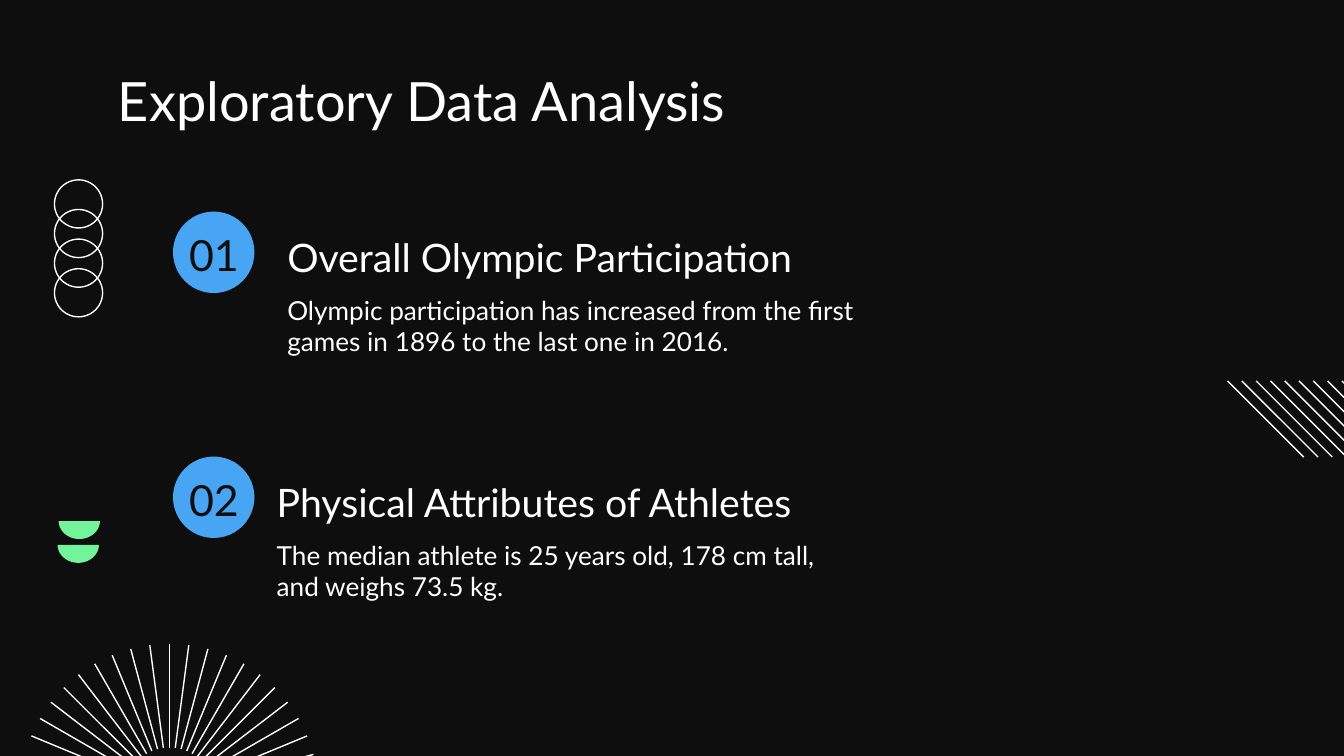
from math import cos, pi, radians, sin

from lxml.etree import SubElement
from pptx import Presentation
from pptx.dml.color import RGBColor
from pptx.enum.shapes import MSO_CONNECTOR as Connector, MSO_SHAPE as Shape
from pptx.enum.text import MSO_ANCHOR as Anchor, PP_ALIGN as Align
from pptx.oxml.ns import qn
from pptx.util import Cm, Pt

BLACK = RGBColor(0x0E, 0x0E, 0x0E)
WHITE = RGBColor(0xFF, 0xFF, 0xFF)
BLUE = RGBColor(0x47, 0xA5, 0xF3)
GREEN = RGBColor(0x72, 0xF4, 0x9A)

LINE_WIDTH = Pt(0.75)
ITEM_PITCH = 4.63
HEADING_SPACING = {"line_spacing": 1.15, "space_after": Pt(12)}

ITEMS = [
    ("01", 5.18, 12.52, "Overall Olympic Participation", 11.38,
     "Olympic participation has increased from the first games in 1896 "
     "to the last one in 2016."),
    ("02", 4.98, 13.18, "Physical Attributes of Athletes", 11.07,
     "The median athlete is 25 years old, 178 cm tall, and weighs 73.5 kg."),
]


def set_all(target, values):
    for name, value in values.items():
        setattr(target, name, value)


def add_text(page, text, area, size, color=WHITE, inset_top=0, **paragraph_format):
    box = page.shapes.add_textbox(*map(Cm, area))
    set_all(box.text_frame, {
        "word_wrap": True,
        "vertical_anchor": Anchor.TOP,
        "margin_left": Cm(0.25),
        "margin_right": Cm(0.25),
        "margin_top": Cm(inset_top),
        "margin_bottom": Cm(0.25),
    })
    para = box.text_frame.paragraphs[0]
    set_all(para, paragraph_format)
    span = para.add_run()
    span.text = text
    set_all(span.font, {"name": "Lato", "size": Pt(size)})
    span.font.color.rgb = color


def add_line(page, start, end):
    line = page.shapes.add_connector(Connector.STRAIGHT, *map(Cm, (*start, *end)))
    line.line.color.rgb = WHITE
    line.line.width = LINE_WIDTH
    SubElement(line._element.spPr, qn("a:effectLst"))


def fill_plain(shape, color):
    shape.shadow.inherit = False
    shape.fill.solid()
    shape.fill.fore_color.rgb = color
    shape.line.fill.background()


def add_disc(page, left, top, diameter):
    disc = page.shapes.add_shape(
        Shape.OVAL, Cm(left), Cm(top), Cm(diameter), Cm(diameter))
    fill_plain(disc, BLUE)


def add_ring(page, left, top, diameter):
    ring = page.shapes.add_shape(
        Shape.OVAL, Cm(left), Cm(top), Cm(diameter), Cm(diameter))
    ring.shadow.inherit = False
    ring.fill.background()
    ring.line.color.rgb = WHITE
    ring.line.width = LINE_WIDTH


def add_bowl(page, left, top, width=0.78, height=0.34, steps=32):
    radius = width / 2
    points = [
        (Cm(left + radius - radius * cos(pi * step / steps)),
         Cm(top + height * sin(pi * step / steps)))
        for step in range(steps + 1)
    ]
    outline = page.shapes.build_freeform(*points[0])
    outline.add_line_segments(points[1:], close=True)
    fill_plain(outline.convert_to_shape(), GREEN)


def add_sunburst(page, center_x, center_y, inner, outer, rays):
    for ray in range(rays):
        angle = radians(15 + 7.5 * ray)
        start, end = (
            (center_x + radius * cos(angle), center_y - radius * sin(angle))
            for radius in (outer, inner)
        )
        add_line(page, start, end)


def add_hatching(page, left, top, size, pitch, count):
    for index in range(count):
        x = left + pitch * index
        add_line(page, (x, top), (x + size, top + size))


def add_item(page, index, item):
    number, left, heading_width, heading, body_width, body = item
    shift = ITEM_PITCH * index
    add_disc(page, 3.27, 4 + shift, 1.54)
    add_text(page, number, (2.9, 3.81 + shift, 2.29, 1.55), 23, BLACK,
             inset_top=0.51, alignment=Align.CENTER)
    add_text(page, heading, (left, 4.27 + shift, heading_width, 0.99), 21,
             **HEADING_SPACING)
    add_text(page, body, (left, 5.56 + shift, body_width, 1.7), 14)


def main():
    deck = Presentation()
    set_all(deck, {"slide_width": Cm(25.4), "slide_height": Cm(14.29)})
    page = deck.slides.add_slide(deck.slide_layouts[6])
    page.background.fill.solid()
    page.background.fill.fore_color.rgb = BLACK

    add_bowl(page, 1.09, 10.3)
    add_bowl(page, 1.11, 9.85)
    for index in range(4):
        add_ring(page, 1.03, 3.4 + 0.56 * index, 0.91)
    add_sunburst(page, 3.2, 14.99, inner=0.86, outer=2.82, rays=20)
    add_hatching(page, 23.2, 7.2, size=1.44, pitch=0.27, count=9)

    add_text(page, "Exploratory Data Analysis", (1.98, 1.27, 21.44, 1.17), 29)
    for index, item in enumerate(ITEMS):
        add_item(page, index, item)

    deck.save("out.pptx")


if __name__ == "__main__":
    main()
